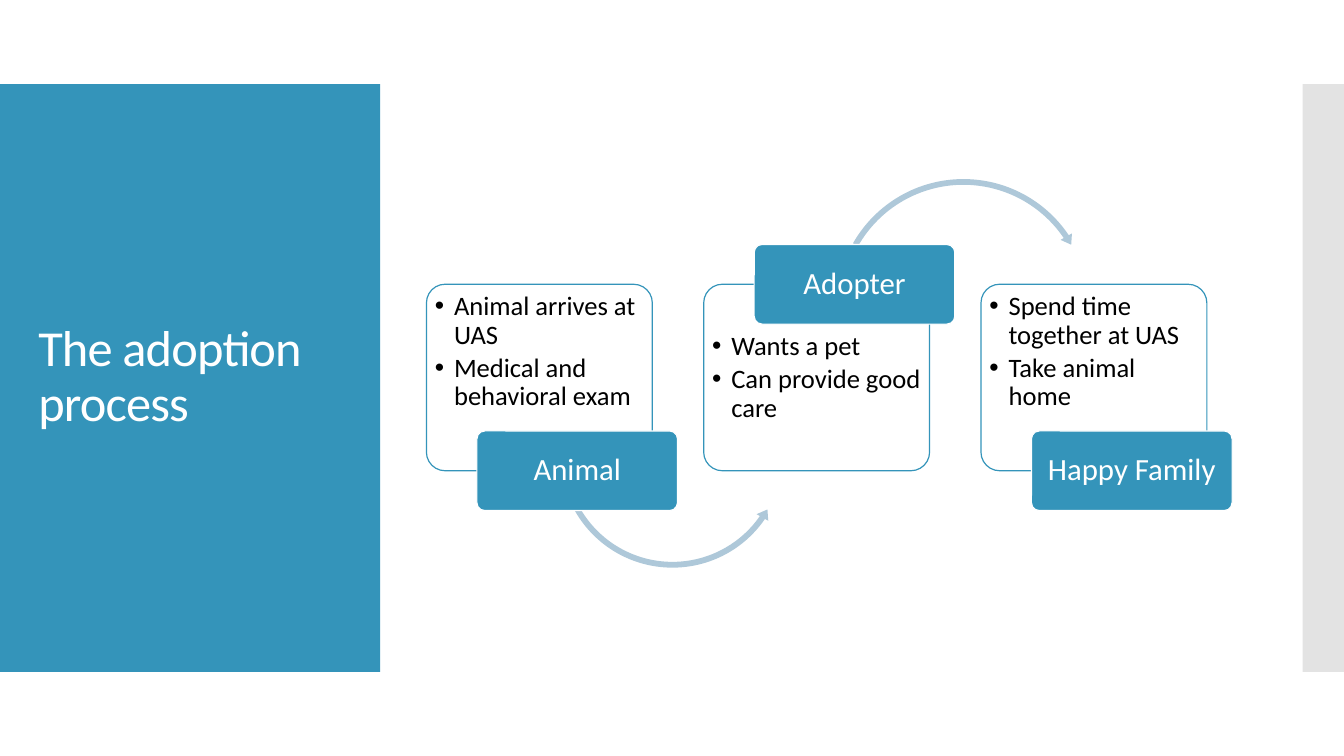
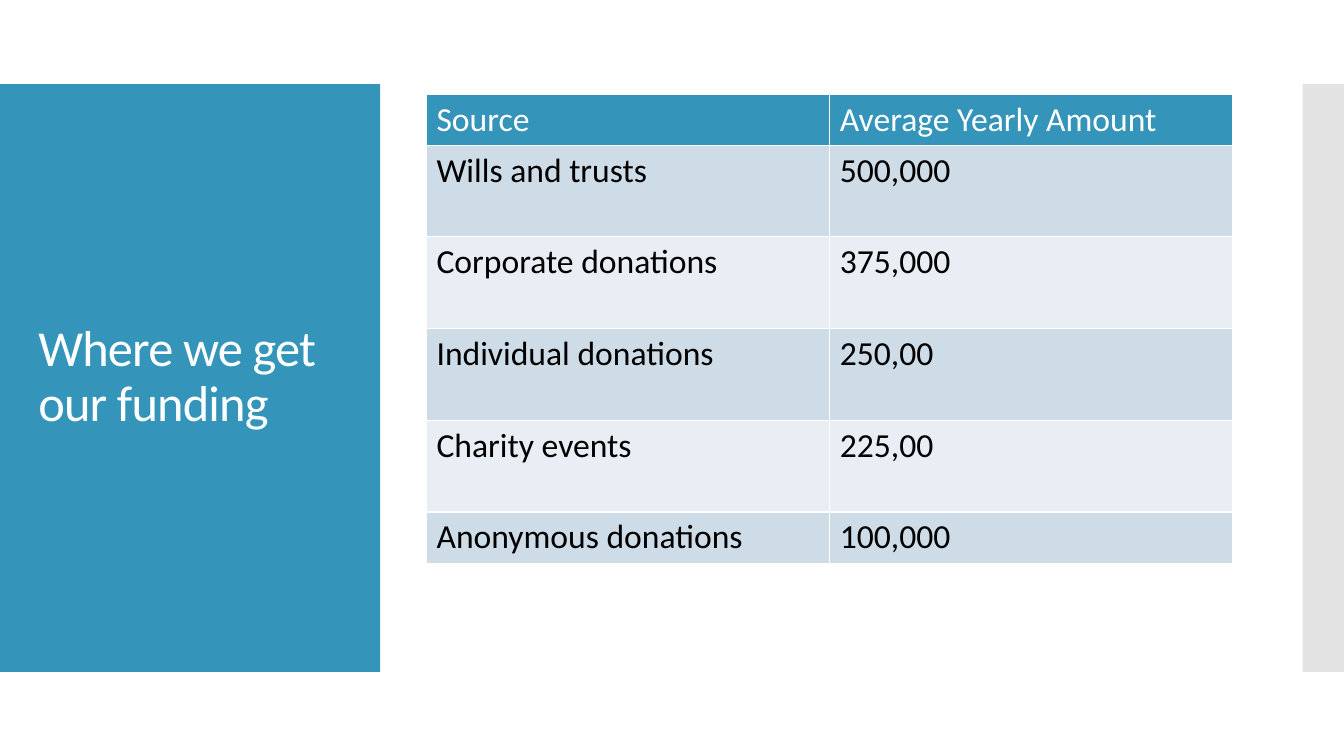
from dataclasses import dataclass
from typing import Optional

from lxml import etree
from pptx import Presentation
from pptx.dml.color import RGBColor
from pptx.enum.shapes import MSO_SHAPE
from pptx.enum.text import MSO_ANCHOR, MSO_AUTO_SIZE, PP_ALIGN
from pptx.oxml.ns import qn
from pptx.util import Inches, Pt

RECT, ROUND = MSO_SHAPE.RECTANGLE, MSO_SHAPE.ROUNDED_RECTANGLE
ARC_OVER, ARC_UNDER = MSO_SHAPE.CIRCULAR_ARROW, MSO_SHAPE.LEFT_CIRCULAR_ARROW
TOP, MIDDLE = MSO_ANCHOR.TOP, MSO_ANCHOR.MIDDLE
LEFT, CENTER = PP_ALIGN.LEFT, PP_ALIGN.CENTER

BLUE = RGBColor(0x34, 0x94, 0xBA)
GRAY = RGBColor(0xC8, 0xC8, 0xC8)
ARC_BLUE = RGBColor(0xAE, 0xC8, 0xD9)
ROW_DARK = RGBColor(0xCE, 0xDC, 0xE7)
ROW_LIGHT = RGBColor(0xE8, 0xEE, 0xF3)
WHITE = RGBColor(0xFF, 0xFF, 0xFF)
BLACK = RGBColor(0x00, 0x00, 0x00)

FONT = "Calibri"
WIDTH, HEIGHT = 13.33, 7.5
TITLE_ONLY = 5

# Flow grid: one column per step
FLOW_LEFT, FLOW_TOP, COLUMN = 4.23, 2.82, 2.75
CARD_W, CARD_H = 2.24, 1.85
LABEL_W, LABEL_H, LABEL_SHIFT = 1.99, 0.79, 0.5
CARD_INSET_X, CARD_INSET_Y = 0.03, 0.03
BULLET_INDENT = 0.19

# Funding tables: header above body
TABLE_LEFT, TABLE_TOP, TABLE_COLUMN = 4.23, 0.94, 4
SHORT_ROW, TALL_ROW = 0.5, 0.91


@dataclass(frozen=True)
class Box:
    left: float
    top: float
    width: float
    height: float

    def emu(self) -> list:
        return [Inches(n) for n in (self.left, self.top, self.width, self.height)]


@dataclass(frozen=True)
class Arc:
    kind: int
    box: Box
    adjustments: tuple


@dataclass(frozen=True)
class Step:
    label: str
    bullets: tuple
    label_on_top: bool = False
    arc: Optional[Arc] = None


@dataclass(frozen=True)
class Row:
    cells: tuple
    height: float
    fill: RGBColor
    color: RGBColor = BLACK


TITLE_BOX = Box(0.28, 1.23, 3.22, 5.03)
BAND_TOP, BAND_H = HEIGHT / 9, HEIGHT * 7 / 9
BANDS = (
    (Box(0, BAND_TOP, 3.77, BAND_H), BLUE, 100),
    (Box(12.92, BAND_TOP, WIDTH - 12.92, BAND_H), GRAY, 50),
)

STEPS = (
    Step("Animal", ("Animal arrives at UAS", "Medical and behavioral exam"),
         arc=Arc(ARC_UNDER, Box(5.52, 3.37, 2.3, 2.3),
                 (0.025, 2.967, 20.723, 90.245, 0.029))),
    Step("Adopter", ("Wants a pet", "Can provide good care"), label_on_top=True,
         arc=Arc(ARC_OVER, Box(8.26, 1.74, 2.59, 2.59),
                 (0.022, 2.623, 195.621, 125.755, 0.025))),
    Step("Happy Family", ("Spend time together at UAS", "Take animal home")),
)

HEADER = (Row(("Source", "Average Yearly Amount"), SHORT_ROW, BLUE, WHITE),)
FUNDING = (
    Row(("Wills and trusts", "500,000"), TALL_ROW, ROW_DARK),
    Row(("Corporate donations", "375,000"), TALL_ROW, ROW_LIGHT),
    Row(("Individual donations", "250,00"), TALL_ROW, ROW_DARK),
    Row(("Charity events", "225,00"), TALL_ROW, ROW_LIGHT),
    Row(("Anonymous donations", "100,000"), SHORT_ROW, ROW_DARK),
)


def set_all(target, **values) -> None:
    for name, value in values.items():
        setattr(target, name, value)


def write(frame, lines: tuple, size: float, color: RGBColor, **para_format) -> None:
    """Fill a text frame with one paragraph per line."""
    for index, line in enumerate(lines):
        para = frame.add_paragraph() if index else frame.paragraphs[0]
        set_all(para, **para_format)
        span = para.add_run()
        span.text = line
        set_all(span.font, size=Pt(size), name=FONT, bold=False)
        span.font.color.rgb = color


def add_block(page, kind: int, box: Box, fill: RGBColor, line: Optional[RGBColor] = None,
              alpha: int = 100, adjustments: tuple = ()):
    block = page.shapes.add_shape(kind, *box.emu())
    block.shadow.inherit = False
    for index, value in enumerate(adjustments):
        block.adjustments[index] = value
    block.fill.solid()
    block.fill.fore_color.rgb = fill
    if alpha < 100:
        color = block.element.find(".//" + qn("a:srgbClr"))
        etree.SubElement(color, qn("a:alpha"), val=str(alpha * 1000))
    if line is None:
        block.line.fill.background()
    else:
        block.line.color.rgb = line
        block.line.width = Pt(0.85)
    return block


def add_bullets(block) -> None:
    for props in block.element.iter(qn("a:pPr")):
        props.set("marL", str(Inches(BULLET_INDENT)))
        props.set("indent", str(-Inches(BULLET_INDENT)))
        etree.SubElement(props, qn("a:buFont"), typeface="Arial")
        etree.SubElement(props, qn("a:buChar"), char="•")


def style_layout(layout, page) -> None:
    """Put the side bands and the title's place on the shared layout."""
    for index, (box, color, alpha) in enumerate(BANDS):
        band = add_block(page, RECT, box, color, alpha=alpha)
        band.element.find(".//" + qn("p:cNvPr")).set("id", str(20 + index))
        layout.shapes.element.insert(2 + index, band.element)
    title = next(shape for shape in layout.placeholders
                 if shape.placeholder_format.idx == 0)
    set_all(title, **dict(zip(("left", "top", "width", "height"), TITLE_BOX.emu())))


def add_title(page, text: str) -> None:
    title = page.shapes.title
    set_all(title.text_frame, word_wrap=True, vertical_anchor=MIDDLE,
            auto_size=MSO_AUTO_SIZE.NONE)
    write(title.text_frame, (text,), 36, WHITE, alignment=LEFT, line_spacing=0.9)
    for props in title.element.iter(qn("a:rPr")):
        props.set("spc", "-60")


def add_step(page, column: int, step: Step) -> None:
    left = FLOW_LEFT + column * COLUMN
    # Card with the bullet list, kept clear of a label on its top edge
    card = add_block(page, ROUND, Box(left, FLOW_TOP, CARD_W, CARD_H), WHITE, BLUE,
                     alpha=90, adjustments=(0.1,))
    clearance = LABEL_H / 2 if step.label_on_top else 0
    set_all(card.text_frame, word_wrap=True, vertical_anchor=TOP,
            margin_left=Inches(CARD_INSET_X), margin_right=Inches(CARD_INSET_X),
            margin_bottom=Inches(CARD_INSET_Y),
            margin_top=Inches(CARD_INSET_Y + clearance))
    write(card.text_frame, step.bullets, 19, BLACK, alignment=LEFT, line_spacing=0.9,
          space_after=Pt(2.85))
    add_bullets(card)
    # Arc to the next step, starting behind the label
    if step.arc:
        add_block(page, step.arc.kind, step.arc.box, ARC_BLUE,
                  adjustments=step.arc.adjustments)
    # Label centred on the card's top or bottom edge
    edge = FLOW_TOP if step.label_on_top else FLOW_TOP + CARD_H
    label = add_block(page, ROUND,
                      Box(left + LABEL_SHIFT, edge - LABEL_H / 2, LABEL_W, LABEL_H),
                      BLUE, WHITE, adjustments=(0.1,))
    set_all(label.text_frame, word_wrap=True, vertical_anchor=MIDDLE,
            margin_left=Inches(0.05), margin_right=Inches(0.05),
            margin_top=Inches(0.03), margin_bottom=Inches(0.03))
    write(label.text_frame, (step.label,), 22, WHITE, alignment=CENTER, line_spacing=0.9)


def add_table(page, top: float, rows: tuple) -> None:
    columns = len(rows[0].cells)
    box = Box(TABLE_LEFT, top, TABLE_COLUMN * columns, sum(row.height for row in rows))
    holder = page.shapes.add_table(len(rows), columns, *box.emu())
    for index, row in enumerate(rows):
        holder.table.rows[index].height = Inches(row.height)
        for column, value in enumerate(row.cells):
            cell = holder.table.cell(index, column)
            cell.fill.solid()
            cell.fill.fore_color.rgb = row.fill
            write(cell.text_frame, (value,), 24, row.color)
    # White cell borders
    for props in holder.element.iter(qn("a:tcPr")):
        for index, side in enumerate(("a:lnL", "a:lnR", "a:lnT", "a:lnB")):
            border = etree.Element(qn(side), w=str(Pt(1)))
            paint = etree.SubElement(border, qn("a:solidFill"))
            etree.SubElement(paint, qn("a:srgbClr"), val=str(WHITE))
            props.insert(index, border)


def main() -> None:
    deck = Presentation()
    deck.slide_width, deck.slide_height = Inches(WIDTH), Inches(HEIGHT)
    layout = deck.slide_layouts[TITLE_ONLY]

    # Adoption process
    process = deck.slides.add_slide(layout)
    style_layout(layout, process)
    add_title(process, "The adoption process")
    for column, step in enumerate(STEPS):
        add_step(process, column, step)

    # Funding sources
    funding = deck.slides.add_slide(layout)
    add_table(funding, TABLE_TOP, HEADER)
    add_table(funding, TABLE_TOP + SHORT_ROW, FUNDING)
    add_title(funding, "Where we get our funding")

    deck.save("out.pptx")


if __name__ == "__main__":
    main()
